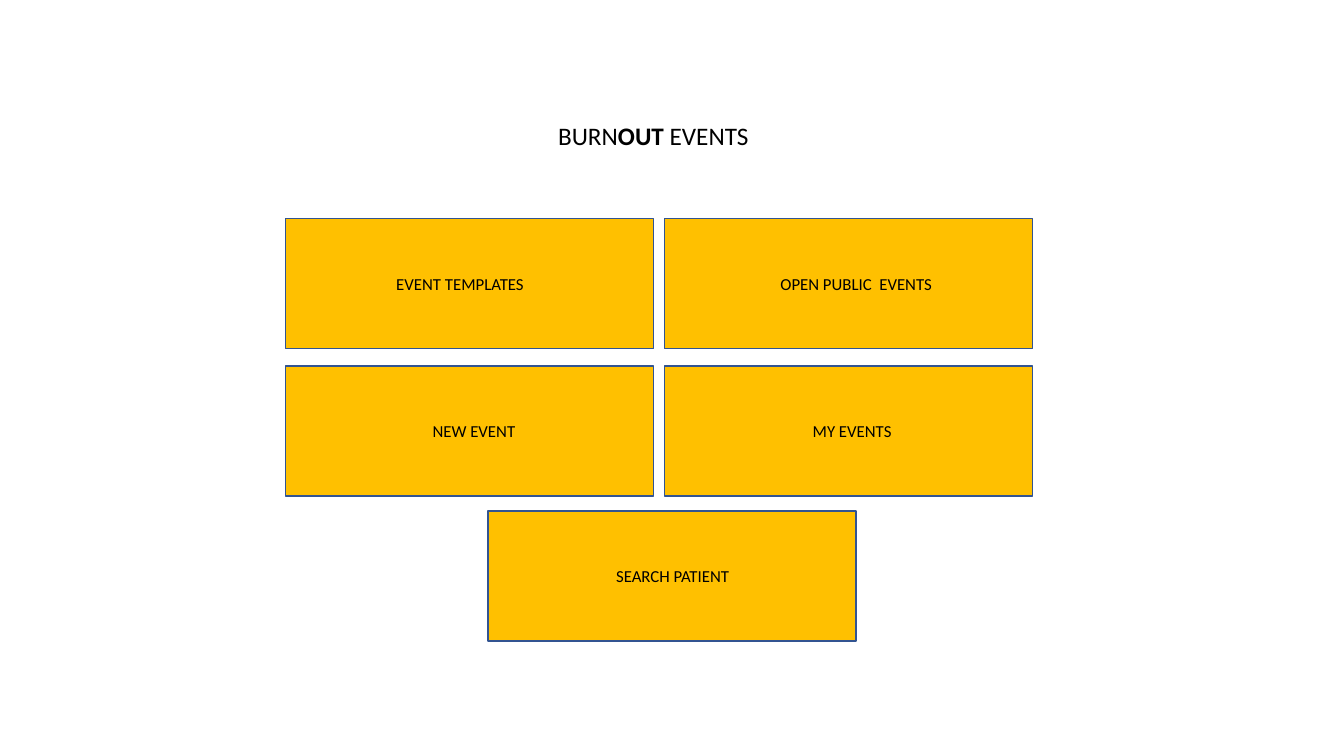
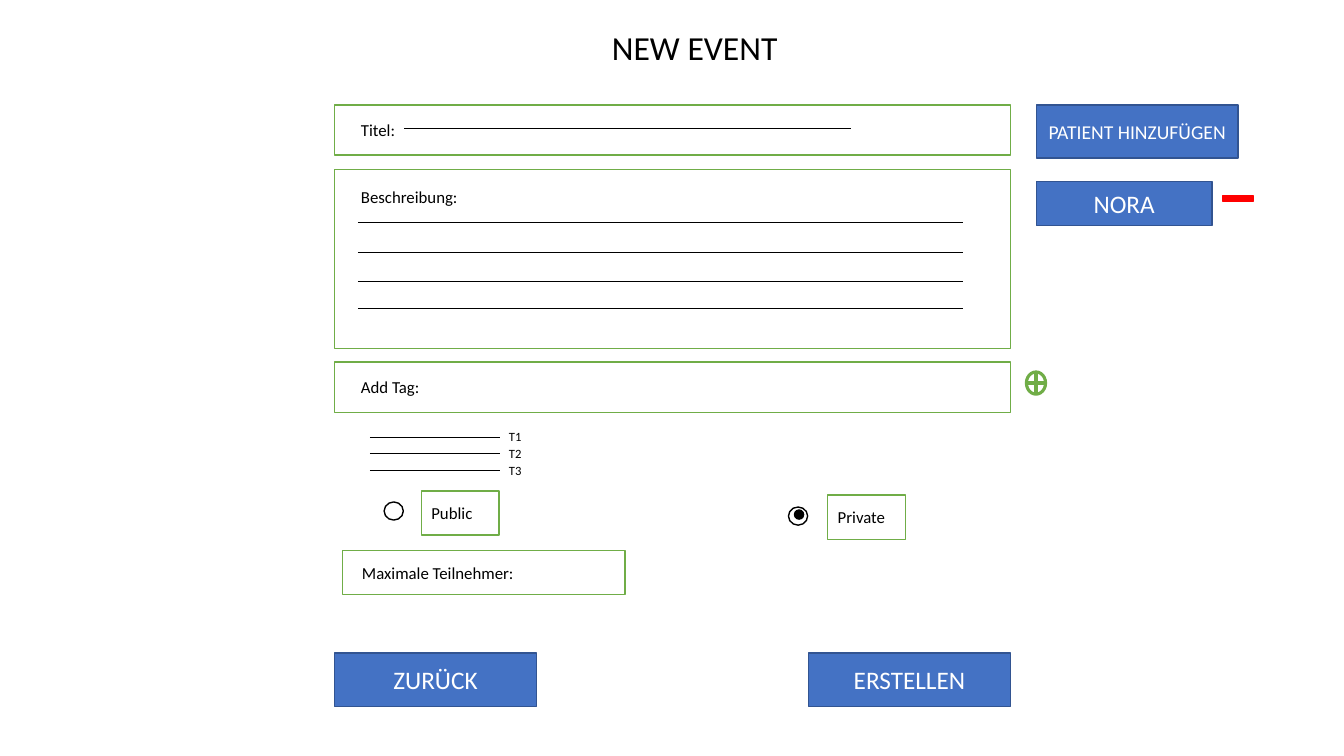
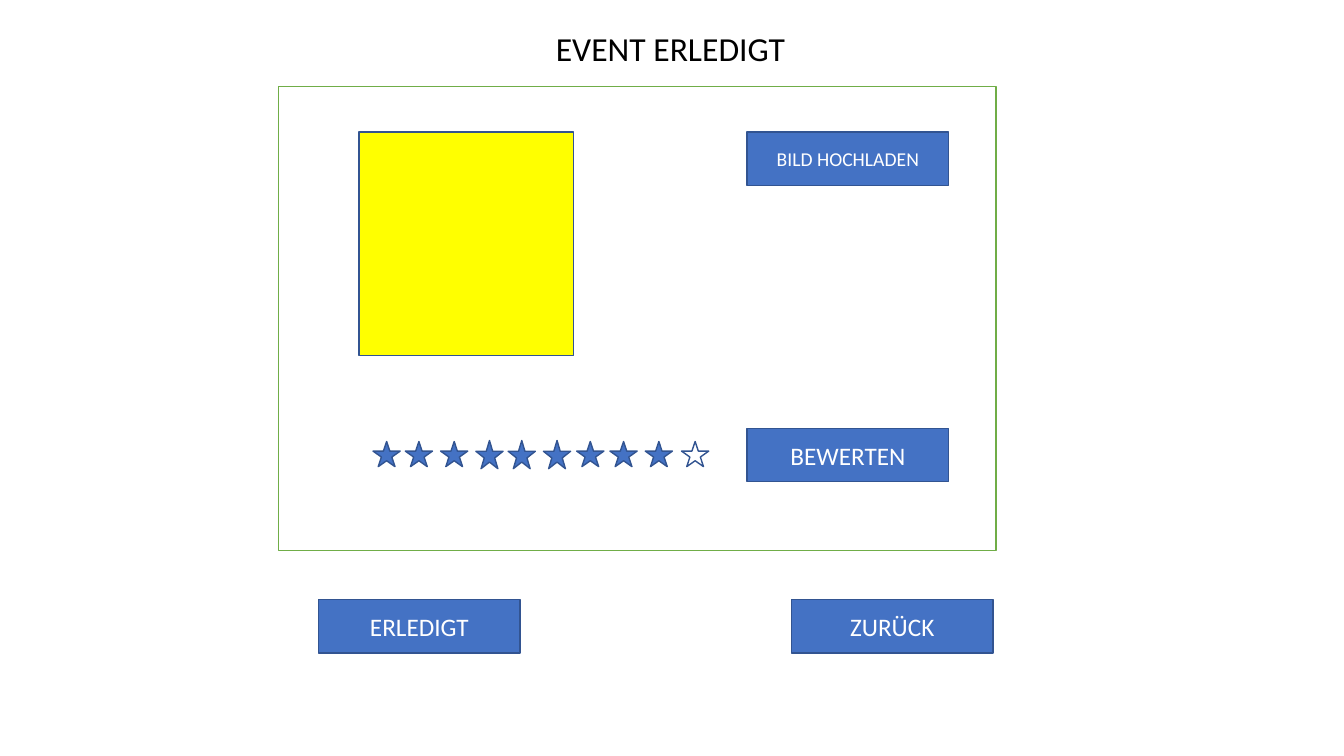
from lxml.etree import SubElement
from pptx import Presentation
from pptx.dml.color import RGBColor
from pptx.enum.shapes import MSO_CONNECTOR, MSO_SHAPE
from pptx.enum.text import MSO_ANCHOR, MSO_AUTO_SIZE, PP_ALIGN
from pptx.oxml.ns import qn
from pptx.util import Inches, Pt

FONT = "Calibri"
BLACK = RGBColor(0x00, 0x00, 0x00)
WHITE = RGBColor(0xFF, 0xFF, 0xFF)
BLUE = RGBColor(0x44, 0x72, 0xC4)
NAVY = RGBColor(0x32, 0x54, 0x91)
GREEN = RGBColor(0x70, 0xAD, 0x47)
AMBER = RGBColor(0xFF, 0xC0, 0x00)
YELLOW = RGBColor(0xFF, 0xFF, 0x00)
RED = RGBColor(0xFF, 0x00, 0x00)
RECT = MSO_SHAPE.RECTANGLE
BUTTON_W, BUTTON_H = 2, 0.53
BUTTON_SIZE, LONG_SIZE = 18, 14


def add_box(s, at, fill, line, kind=RECT, weight=1, text="", size=12, inset=None):
    """Add a shape; a text with an inset is a black left label, otherwise a white centred one."""
    sp = s.shapes.add_shape(kind, *[Inches(v) for v in at])
    sp.shadow.inherit = False
    sp.fill.solid()
    sp.fill.fore_color.rgb = fill
    sp.line.color.rgb = line
    sp.line.width = Pt(weight)
    if text:
        tf = sp.text_frame
        tf.word_wrap = True
        tf.vertical_anchor = MSO_ANCHOR.MIDDLE
        tf.margin_left = Inches(0.05 if inset is None else inset)
        tf.margin_right = Inches(0.05)
        p = tf.paragraphs[0]
        p.alignment = PP_ALIGN.CENTER if inset is None else PP_ALIGN.LEFT
        r = p.add_run()
        r.text = text
        r.font.name, r.font.size = FONT, Pt(size)
        r.font.color.rgb = WHITE if inset is None else BLACK
    return sp


def add_rule(s, x1, x2, y):
    """Add a thin horizontal writing line."""
    c = s.shapes.add_connector(MSO_CONNECTOR.STRAIGHT, Inches(x1), Inches(y), Inches(x2), Inches(y))
    c.line.color.rgb = BLACK
    c.line.width = Pt(0.5)
    SubElement(c._element.spPr, qn("a:effectLst"))


prs = Presentation()
prs.slide_width, prs.slide_height = Inches(13.33), Inches(7.5)

# Slides with their titles: runs (text, bold), position, size
TITLES = [
    ([("BURN", False), ("OUT", True), (" EVENTS", False)], (5.43, 1.14, 2.1, 0.4), 18),
    ([("NEW EVENT", False)], (4.47, 0.22, 4.84, 0.5), 24),
    ([("EVENT ERLEDIGT", False)], (4.23, 0.23, 4.84, 0.5), 24),
]
for runs, at, size in TITLES:
    s = prs.slides.add_slide(prs.slide_layouts[5])
    title = s.shapes.title
    title.left, title.top, title.width, title.height = [Inches(v) for v in at]
    tf = title.text_frame
    tf.auto_size = MSO_AUTO_SIZE.NONE
    tf.word_wrap = True
    tf.vertical_anchor = MSO_ANCHOR.MIDDLE
    p = tf.paragraphs[0]
    p.alignment = PP_ALIGN.CENTER
    for text, bold in runs:
        r = p.add_run()
        r.text = text
        r.font.name, r.font.size, r.font.bold = FONT, Pt(size), bold
        r.font.color.rgb = BLACK
menu, form, done = prs.slides

# Menu: five cards
for text, left, top, inset in [
    ("EVENT TEMPLATES", 2.83, 2.17, 1.1),
    ("OPEN PUBLIC  EVENTS", 6.59, 2.17, 1.15),
    ("NEW EVENT", 2.83, 3.63, 1.46),
    ("MY EVENTS", 6.59, 3.63, 1.47),
    ("SEARCH PATIENT", 4.84, 5.07, 1.27),
]:
    add_box(menu, (left, top, 3.65, 1.29), AMBER, NAVY, text=text, inset=inset)

# Form: labelled fields
for text, at, inset in [
    ("Titel:", (3.32, 1.04, 6.7, 0.5), 0.26),
    ("Beschreibung:", (3.32, 1.68, 6.7, 1.78), 0.26),
    ("Add Tag:", (3.32, 3.59, 6.7, 0.5), 0.26),
    ("Public", (4.18, 4.87, 0.77, 0.44), 0.1),
    ("Private", (8.21, 4.91, 0.77, 0.44), 0.1),
    ("Maximale Teilnehmer:", (3.4, 5.46, 2.8, 0.44), 0.19),
]:
    sp = add_box(form, at, WHITE, GREEN, text=text, inset=inset)
    if text == "Beschreibung:":
        sp.text_frame.vertical_anchor = MSO_ANCHOR.TOP
        sp.text_frame.margin_top = Inches(0.17)

# Form: writing lines for title and description
add_rule(form, 4.01, 8.44, 1.27)
for y in (2.21, 2.5, 2.79, 3.06):
    add_rule(form, 3.55, 9.55, y)

# Form: tag lines with their names
for i, y in enumerate((4.34, 4.5, 4.67), 1):
    add_rule(form, 3.67, 4.96, y)
    tb = form.shapes.add_textbox(Inches(4.95), Inches(y - 0.13), Inches(2.17), Inches(0.25))
    tb.text_frame.word_wrap = True
    r = tb.text_frame.paragraphs[0].add_run()
    r.text = f"T{i}"
    r.font.name, r.font.size = FONT, Pt(9)
    r.font.color.rgb = BLACK

# Form: add and remove signs, radio buttons
add_box(form, (10.18, 3.69, 0.19, 0.22), WHITE, GREEN, MSO_SHAPE.FLOWCHART_OR, 2.25)
add_box(form, (12.13, 1.94, 0.3, 0.06), RED, RED)
for left, top in [(3.81, 4.98), (7.82, 5.03)]:
    add_box(form, (left, top, 0.19, 0.18), WHITE, BLACK, MSO_SHAPE.FLOWCHART_CONNECTOR)
add_box(form, (7.88, 5.06, 0.09, 0.09), BLACK, BLACK, MSO_SHAPE.OVAL)

# Done: frame, image area and rating of nine out of ten
add_box(done, (2.76, 0.86, 7.12, 4.6), WHITE, GREEN)
add_box(done, (3.56, 1.31, 2.13, 2.22), YELLOW, NAVY)
STAR_LEFTS = (3.7, 4.02, 4.37, 4.72, 5.04, 5.39, 5.72, 6.05, 6.4, 6.76)
for i, left in enumerate(STAR_LEFTS):
    top, height = (4.37, 0.28) if i in (3, 4, 5) else (4.38, 0.25)
    add_box(done, (left, top, 0.27, height), BLUE if i < 9 else WHITE, NAVY, MSO_SHAPE.STAR_5_POINT)

# Buttons of form and done; labels of two words are smaller to stay inside
for s, text, left, top, width, height in [
    (form, "PATIENT HINZUFÜGEN", 10.28, 1.04, BUTTON_W, BUTTON_H),
    (form, "NORA", 10.28, 1.8, 1.74, 0.44),
    (form, "ZURÜCK", 3.32, 6.48, BUTTON_W, BUTTON_H),
    (form, "ERSTELLEN", 8.02, 6.48, BUTTON_W, BUTTON_H),
    (done, "BILD HOCHLADEN", 7.41, 1.31, BUTTON_W, BUTTON_H),
    (done, "BEWERTEN", 7.41, 4.25, BUTTON_W, BUTTON_H),
    (done, "ERLEDIGT", 3.16, 5.95, BUTTON_W, BUTTON_H),
    (done, "ZURÜCK", 7.85, 5.95, BUTTON_W, BUTTON_H),
]:
    size = LONG_SIZE if " " in text else BUTTON_SIZE
    add_box(s, (left, top, width, height), BLUE, NAVY, text=text, size=size)

prs.save("out.pptx")
